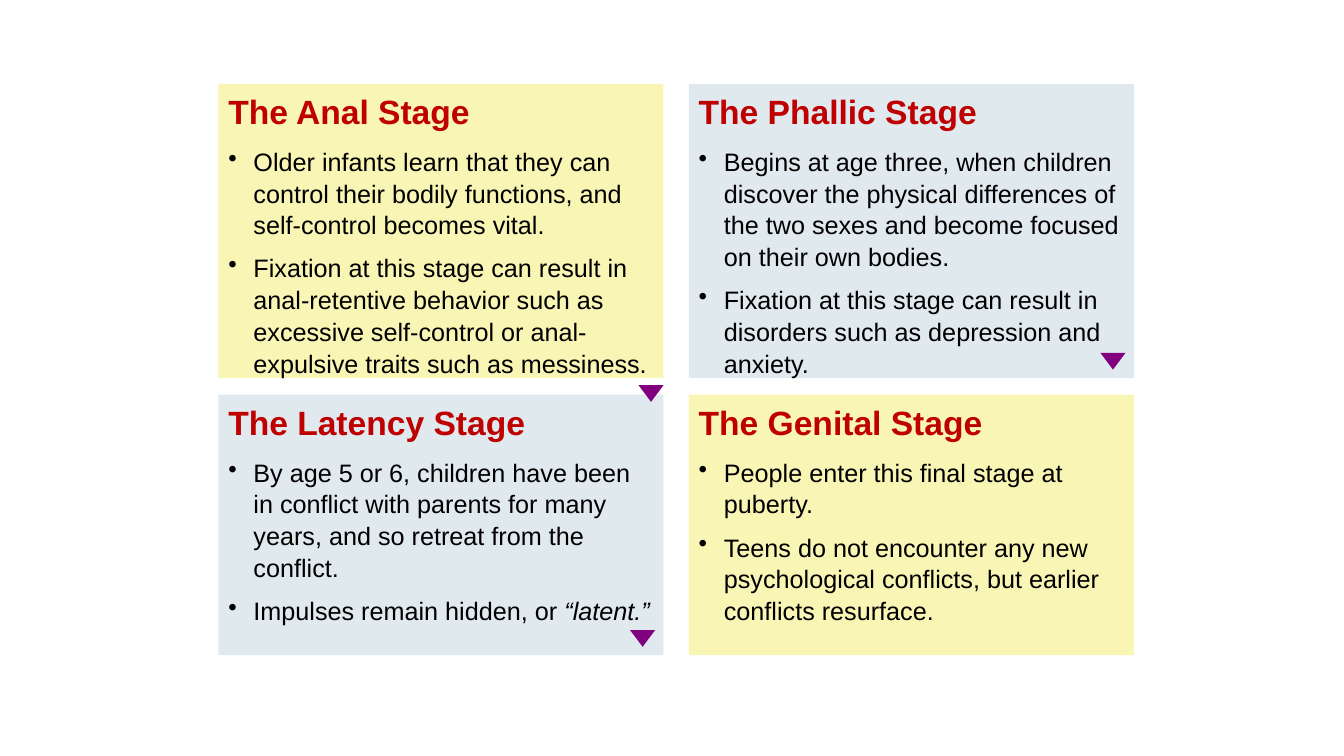
from lxml import etree
from pptx import Presentation
from pptx.dml.color import RGBColor
from pptx.enum.shapes import MSO_SHAPE
from pptx.enum.text import MSO_ANCHOR, PP_ALIGN
from pptx.oxml.ns import qn
from pptx.util import Pt

RECTANGLE = MSO_SHAPE.RECTANGLE
TRIANGLE = MSO_SHAPE.ISOSCELES_TRIANGLE
TOP = MSO_ANCHOR.TOP
LEFT = PP_ALIGN.LEFT

YELLOW = RGBColor(0xF9, 0xF5, 0xB4)
PALE_BLUE = RGBColor(0xE0, 0xE9, 0xED)
RED = RGBColor(0xBF, 0x00, 0x00)
BLACK = RGBColor(0x00, 0x00, 0x00)
PURPLE = RGBColor(0x80, 0x00, 0x80)

# Rows of stages: heading, bullets as lists of (text, italic) runs
STAGES = [
    [
        ("The Anal Stage", [
            [("Older infants learn that they can control their bodily functions, "
              "and self-control becomes vital.", False)],
            [("Fixation at this stage can result in anal-retentive behavior such as "
              "excessive self-control or anal-expulsive traits such as messiness.", False)],
        ]),
        ("The Phallic Stage", [
            [("Begins at age three, when children discover the physical differences of "
              "the two sexes and become focused on their own bodies.", False)],
            [("Fixation at this stage can result in disorders such as depression "
              "and anxiety.", False)],
        ]),
    ],
    [
        ("The Latency Stage", [
            [("By age 5 or 6, children have been in conflict with parents for many "
              "years, and so retreat from the conflict.", False)],
            [("Impulses remain hidden, or ", False), ("“latent.”", True)],
        ]),
        ("The Genital Stage", [
            [("People enter this final stage at puberty.", False)],
            [("Teens do not encounter any new psychological conflicts, but earlier "
              "conflicts resurface.", False)],
        ]),
    ],
]
MARKERS = [(456, 275), (786, 252), (450, 450)]

FONT = "Arial"
HEADING_SIZE, BODY_SIZE = 24, 18
INDENT = 18
GRID_LEFT, GRID_TOP = 156, 60
CARD_WIDTH, COLUMN_GAP = 318, 18
ROW_HEIGHTS, ROW_GAP = (210, 186), 12
MARKER_WIDTH, MARKER_HEIGHT = 18, 12


def add_filled_shape(slide, kind, left, top, width, height, color):
    shape = slide.shapes.add_shape(kind, Pt(left), Pt(top), Pt(width), Pt(height))
    shape.shadow.inherit = False
    shape.fill.solid()
    shape.fill.fore_color.rgb = color
    shape.line.fill.background()
    return shape


def write_paragraph(paragraph, runs, size, color, heading):
    properties = paragraph._p.get_or_add_pPr()
    properties.set("marL", str(Pt(INDENT)))
    properties.set("indent", str(-Pt(INDENT)))
    if not heading:
        etree.SubElement(properties, qn("a:buChar")).set("char", "•")
        paragraph.space_before = Pt(size * 0.2)
    paragraph.space_after = Pt(size * 0.25)
    paragraph.line_spacing = 1.05
    paragraph.alignment = LEFT
    for text, italic in runs:
        run = paragraph.add_run()
        run.text = text
        run.font.name = FONT
        run.font.size = Pt(size)
        run.font.bold = heading
        run.font.italic = italic
        run.font.color.rgb = color


def add_card(slide, left, top, height, color, heading, bullets):
    card = add_filled_shape(slide, RECTANGLE, left, top, CARD_WIDTH, height, color)
    frame = card.text_frame
    frame.word_wrap = True
    frame.vertical_anchor = TOP
    write_paragraph(frame.paragraphs[0], [(heading, False)], HEADING_SIZE, RED, True)
    for runs in bullets:
        write_paragraph(frame.add_paragraph(), runs, BODY_SIZE, BLACK, False)


def main():
    presentation = Presentation()
    presentation.slide_width = Pt(960)
    presentation.slide_height = Pt(540)
    slide = presentation.slides.add_slide(presentation.slide_layouts[6])

    top = GRID_TOP
    for row, (stages, height) in enumerate(zip(STAGES, ROW_HEIGHTS)):
        for column, (heading, bullets) in enumerate(stages):
            left = GRID_LEFT + column * (CARD_WIDTH + COLUMN_GAP)
            color = YELLOW if row == column else PALE_BLUE
            add_card(slide, left, top, height, color, heading, bullets)
        top += height + ROW_GAP

    for left, marker_top in MARKERS:
        marker = add_filled_shape(slide, TRIANGLE, left, marker_top,
                                  MARKER_WIDTH, MARKER_HEIGHT, PURPLE)
        marker.rotation = 180

    presentation.save("out.pptx")


if __name__ == "__main__":
    main()
